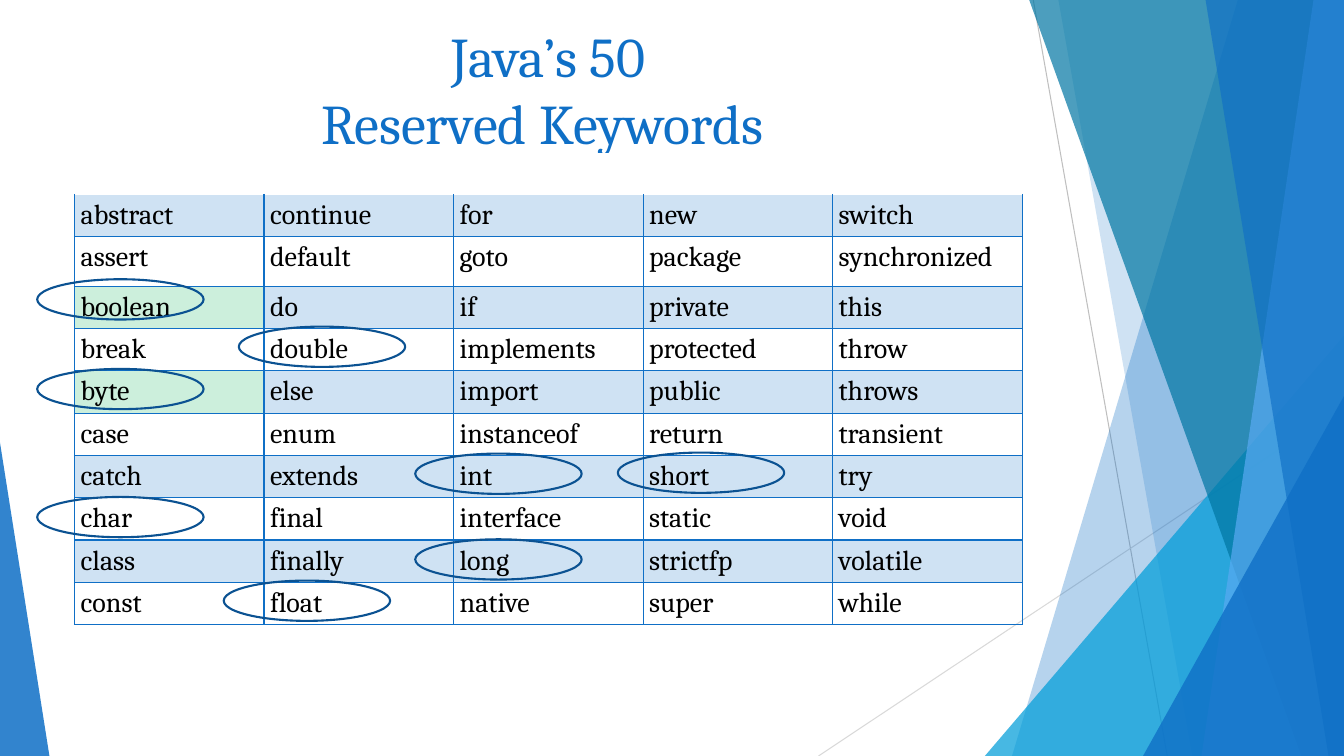
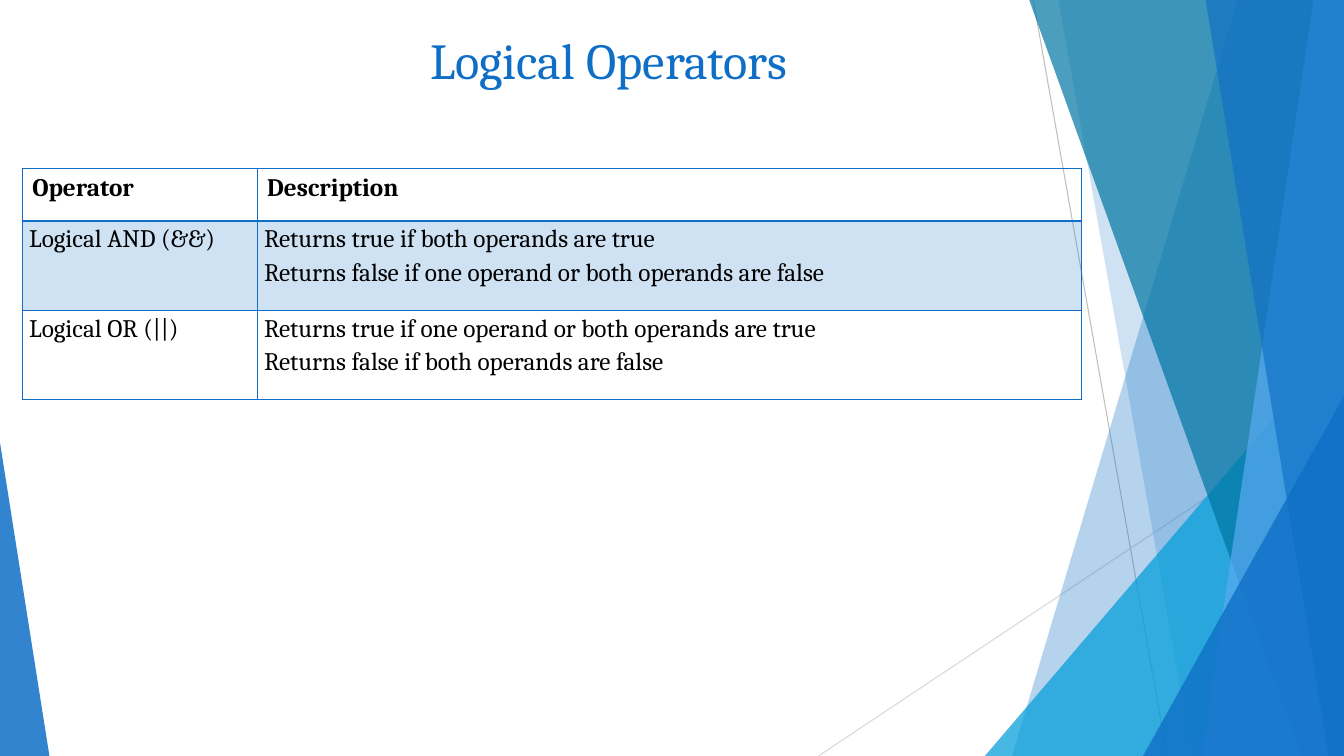
from copy import deepcopy

from lxml.etree import SubElement
from pptx import Presentation
from pptx.dml.color import RGBColor
from pptx.enum.shapes import MSO_CONNECTOR, MSO_SHAPE
from pptx.enum.text import MSO_ANCHOR, MSO_AUTO_SIZE, PP_ALIGN
from pptx.oxml.ns import qn
from pptx.util import Inches, Pt

SLIDE_WIDTH = Inches(13.33)
SLIDE_HEIGHT = Inches(7.5)
FONT = "Cambria"

BLUE = RGBColor(0x0F, 0x6F, 0xC6)
DARK_BLUE = RGBColor(0x0B, 0x52, 0x92)
LIGHT_BLUE = RGBColor(0x59, 0xAA, 0xF2)
CYAN = RGBColor(0x00, 0x9D, 0xD9)
TEAL = RGBColor(0x00, 0x76, 0xA3)
GREEN = RGBColor(0x00, 0xB0, 0x50)
GRAY = RGBColor(0xBF, 0xBF, 0xBF)
LIGHT_GRAY = RGBColor(0xD9, 0xD9, 0xD9)
BLACK = RGBColor(0x00, 0x00, 0x00)
WHITE = RGBColor(0xFF, 0xFF, 0xFF)

KEYWORD_COLUMNS = [
    "abstract assert boolean break byte case catch char class const".split(),
    "continue default do double else enum extends final finally float".split(),
    "for goto if implements import instanceof int interface long native".split(),
    "new package private protected public return short static strictfp super".split(),
    "switch synchronized this throw throws transient try void volatile while".split(),
]
GREEN_KEYWORDS = {"boolean", "byte"}
CIRCLE_SHIFTS = {
    "boolean": (-2.78, -0.93),
    "byte": (-2.78, -0.27),
    "char": (-2.78, -0.13),
    "int": (-2.85, -0.27),
    "long": (-2.85, -0.13),
    "float": (-3, -0.27),
    "double": (-1.88, -0.27),
    "short": (-1.88, -0.4),
}
OPERATOR_ROWS = [
    ("Operator", "Description"),
    (
        "Logical AND (&&)",
        "Returns true if both operands are true\n"
        "Returns false if one operand or both operands are false",
    ),
    (
        "Logical OR (||)",
        "Returns true if one operand or both operands are true\n"
        "Returns false if both operands are false",
    ),
]


def across(percent):
    """Return a share of the slide's width."""
    return round(SLIDE_WIDTH * percent / 100)


def down(percent):
    """Return a share of the slide's height."""
    return round(SLIDE_HEIGHT * percent / 100)


def box(left, top, width, height):
    """Return left, top, width and height from shares of the slide."""
    return across(left), down(top), across(width), down(height)


def write(text_frame, text, size=18, color=BLACK, bold=False, align=PP_ALIGN.LEFT,
          line_spacing=None, space_after=None):
    """Write one formatted paragraph, with its line breaks."""
    paragraph = text_frame.paragraphs[0]
    paragraph.text = text
    paragraph.alignment = align
    paragraph.line_spacing = line_spacing
    if space_after is not None:
        paragraph.space_after = Pt(space_after)
    for run in paragraph.runs:
        run.font.name = FONT
        run.font.size = Pt(size)
        run.font.bold = bold
        run.font.color.rgb = color
    for line_break in paragraph._p.findall(qn("a:br")):
        line_break.append(deepcopy(paragraph.runs[0]._r.rPr))


def paint(fill, properties, color, opacity=100):
    """Give a solid fill, with its opacity in percent."""
    fill.solid()
    fill.fore_color.rgb = color
    if opacity < 100:
        color_element = properties.find(f"{qn('a:solidFill')}/{qn('a:srgbClr')}")
        SubElement(color_element, qn("a:alpha"), val=str(opacity * 1000))


def finish_facet(shape, color, opacity):
    """Make a facet flat, translucent and without outline."""
    shape.shadow.inherit = False
    paint(shape.fill, shape.element.spPr, color, opacity)
    shape.line.fill.background()


def add_band(slide, top_left, bottom_left, color, opacity):
    """Add a facet that runs from a slanted left edge to the slide's right edge."""
    builder = slide.shapes.build_freeform(across(top_left), 0)
    builder.add_line_segments([
        (across(100), 0),
        (across(100), down(100)),
        (across(bottom_left), down(100)),
    ])
    finish_facet(builder.convert_to_shape(), color, opacity)


def add_corner(slide, left, top, width, apex, color, opacity):
    """Add a right triangle that stands on the slide's bottom edge."""
    shape = slide.shapes.add_shape(
        MSO_SHAPE.ISOSCELES_TRIANGLE, *box(left, top, width, 100 - top))
    shape.adjustments[0] = apex
    finish_facet(shape, color, opacity)


def add_thin_line(slide, start, end, color):
    """Add a hairline between two points."""
    line = slide.shapes.add_connector(
        MSO_CONNECTOR.STRAIGHT,
        across(start[0]), down(start[1]), across(end[0]), down(end[1]))
    line.line.color.rgb = color
    line.line.width = Pt(0.75)
    SubElement(line.element.spPr, qn("a:effectLst"))


def decorate_layout(layout, slide):
    """Draw the facets on a slide and move them to its layout."""
    for placeholder in list(layout.placeholders):
        if placeholder.placeholder_format.idx != 0:
            layout.shapes.element.remove(placeholder.element)
    add_thin_line(slide, (76.88, 0), (86.85, 100), GRAY)
    add_thin_line(slide, (100, 53.73), (60.9, 100), LIGHT_GRAY)
    add_band(slide, 92.1, 75.3, BLUE, 30)
    add_band(slide, 78.75, 88.73, BLUE, 20)
    add_corner(slide, 73.28, 44.4, 26.72, 1, CYAN, 72)
    add_band(slide, 76.58, 96.83, TEAL, 70)
    add_band(slide, 97.73, 89.4, LIGHT_BLUE, 70)
    add_band(slide, 89.7, 98.85, BLUE, 65)
    add_corner(slide, 85.05, 52.4, 14.95, 1, BLUE, 80)
    add_corner(slide, 0, 58.53, 3.68, 0, BLUE, 85)
    for shape in list(slide.shapes):
        if not shape.is_placeholder:
            layout.shapes.element.append(shape.element)


def set_title(slide, text, area, size):
    """Place and write the slide's title."""
    title = slide.shapes.title
    title.left, title.top, title.width, title.height = box(*area)
    title.text_frame.word_wrap = True
    title.text_frame.vertical_anchor = MSO_ANCHOR.TOP
    title.text_frame.auto_size = MSO_AUTO_SIZE.TEXT_TO_FIT_SHAPE
    write(title.text_frame, text, size=size, color=BLUE, align=PP_ALIGN.CENTER)


def add_grid(slide, left, top, widths, heights):
    """Add a plain table with the given column widths and row heights."""
    frame = slide.shapes.add_table(
        len(heights), len(widths), *box(left, top, sum(widths), sum(heights)))
    table = frame.table
    table.first_row = False
    table.horz_banding = False
    for column, width in zip(table.columns, widths):
        column.width = across(width)
    for row, height in zip(table.rows, heights):
        row.height = down(height)
    return table


def format_cell(cell, color=None, opacity=20, inset=None, **border_widths):
    """Set a cell's borders, fill and side insets."""
    properties = cell._tc.get_or_add_tcPr()
    for side in "LRTB":
        width = border_widths.get(side, 1)
        if width:
            line = SubElement(properties, qn(f"a:ln{side}"), w=str(Pt(width)))
            fill = SubElement(line, qn("a:solidFill"))
            SubElement(fill, qn("a:srgbClr"), val=str(BLUE))
    if color is None:
        cell.fill.background()
    else:
        paint(cell.fill, properties, color, opacity)
    if inset is not None:
        cell.margin_left = cell.margin_right = Inches(inset)
        cell.margin_top = cell.margin_bottom = 0


def add_circle(slide, left, top):
    """Add an outlined ellipse that marks a keyword."""
    circle = slide.shapes.add_shape(MSO_SHAPE.OVAL, *box(left, top, 12.38, 5.33))
    circle.shadow.inherit = False
    circle.fill.background()
    circle.line.color.rgb = DARK_BLUE
    circle.line.width = Pt(1.5)


def build_keywords(slide):
    """Build the keyword table and mark the primitive types."""
    set_title(slide, "Java’s 50\nReserved Keywords ", (5.55, 2.13, 70.5, 19.2), 40)
    left, top, width = 5.55, 20.27, 14.1
    heights = [5.47, 5.6, 6.53] + [5.6] * 8
    table = add_grid(slide, left, top, [width] * len(KEYWORD_COLUMNS), heights)
    for column, keywords in enumerate(KEYWORD_COLUMNS):
        format_cell(table.cell(0, column), WHITE, 100, L=0, R=0, T=0, B=0)
        for row, keyword in enumerate(keywords, start=1):
            cell = table.cell(row, column)
            band = BLUE if row % 2 else None
            color = GREEN if keyword in GREEN_KEYWORDS else band
            format_cell(cell, color, inset=0.06, T=0 if row == 1 else 1)
            write(cell.text_frame, keyword, size=20, line_spacing=1.15, space_after=10)
    for keyword, (shift_across, shift_down) in CIRCLE_SHIFTS.items():
        column = next(index for index, keywords in enumerate(KEYWORD_COLUMNS)
                      if keyword in keywords)
        row = KEYWORD_COLUMNS[column].index(keyword) + 1
        add_circle(slide, left + column * width + shift_across,
                   top + sum(heights[:row]) + shift_down)


def build_operators(slide):
    """Build the table of logical operators."""
    table = add_grid(slide, 1.65, 22.27, [17.48, 61.35], [6.93, 11.87, 11.73])
    for row, texts in enumerate(OPERATOR_ROWS):
        for column, text in enumerate(texts):
            cell = table.cell(row, column)
            if row == 0:
                format_cell(cell, B=2)
                write(cell.text_frame, text, bold=True)
            else:
                format_cell(cell, BLUE if row == 1 else None, inset=0.07,
                            T=2 if row == 1 else 1)
                write(cell.text_frame, text, line_spacing=1.15)
    set_title(slide, "Logical Operators", (2.93, 3.2, 84.75, 13.2), 36)


def main():
    """Build and save the presentation."""
    presentation = Presentation()
    presentation.slide_width = SLIDE_WIDTH
    presentation.slide_height = SLIDE_HEIGHT
    layout = presentation.slide_layouts.get_by_name("Title Only")
    keywords_slide = presentation.slides.add_slide(layout)
    decorate_layout(layout, keywords_slide)
    build_keywords(keywords_slide)
    build_operators(presentation.slides.add_slide(layout))
    presentation.save("out.pptx")


if __name__ == "__main__":
    main()
